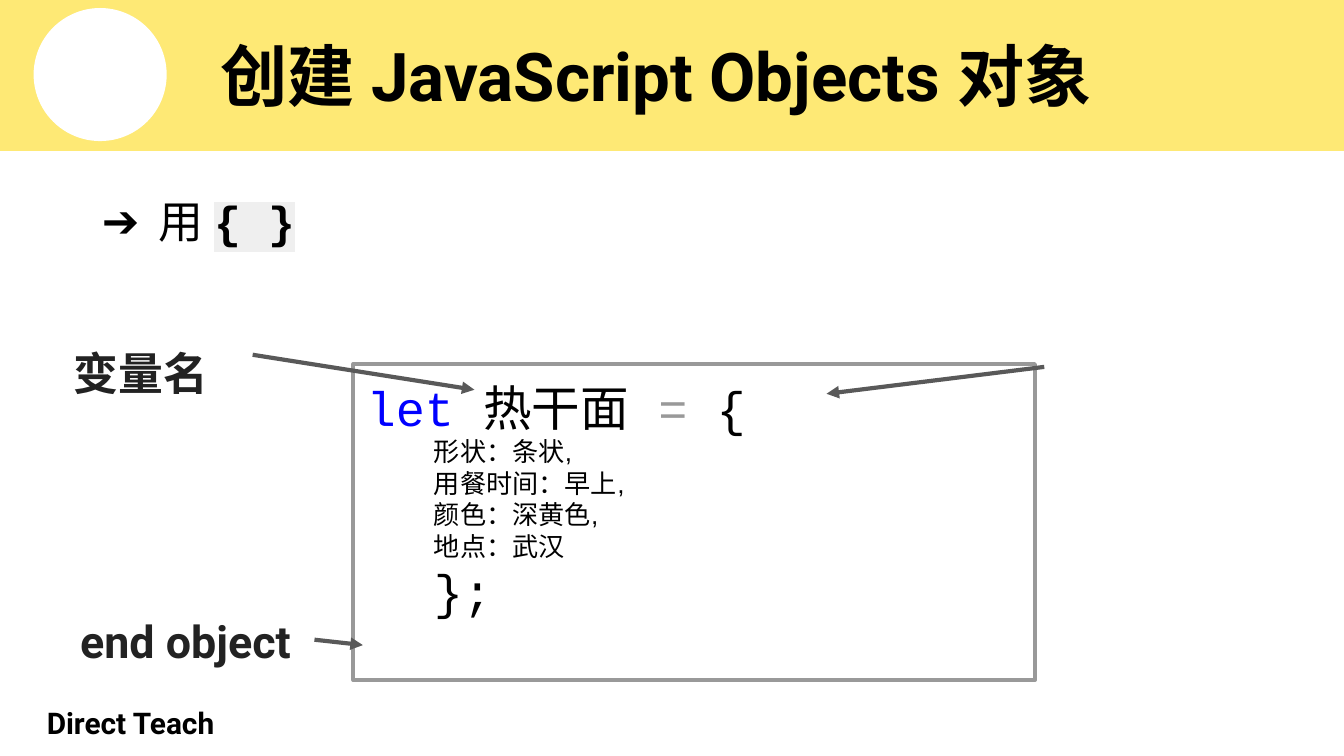
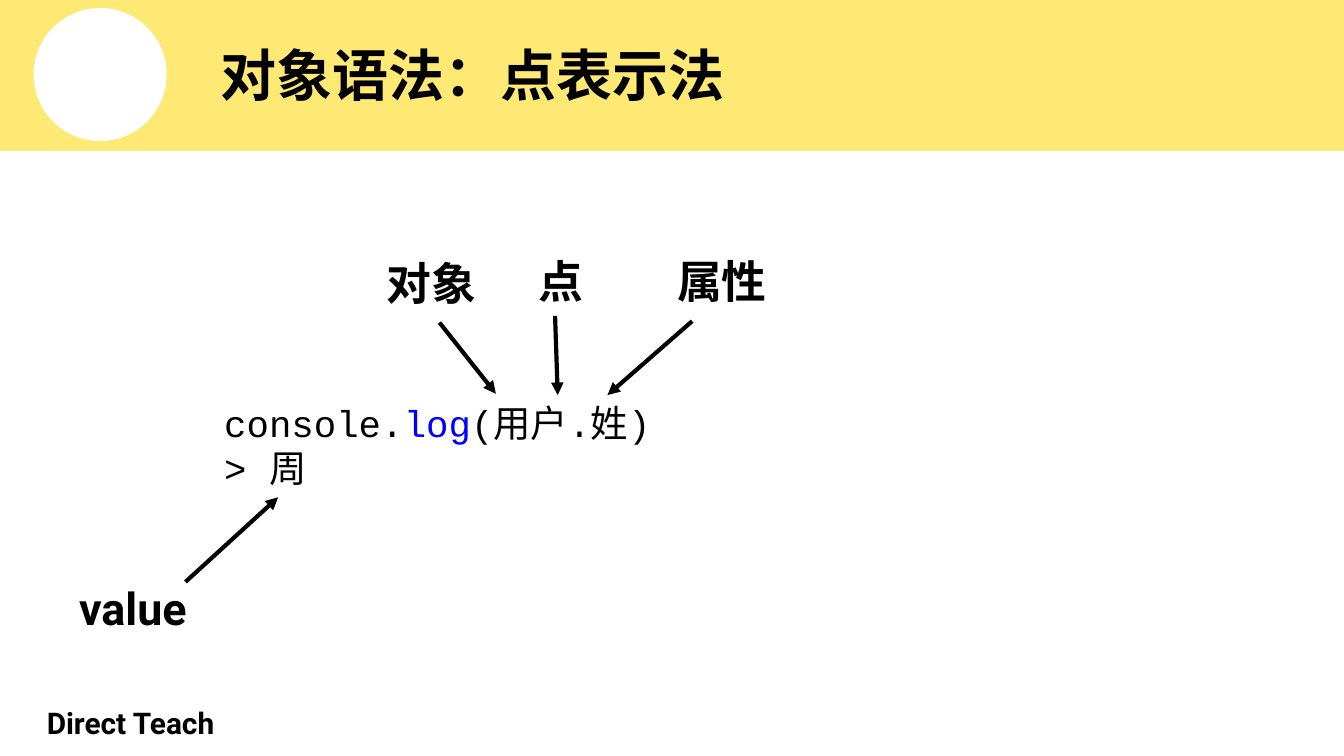
from copy import deepcopy
from dataclasses import dataclass
from typing import NamedTuple

from lxml import etree
from pptx import Presentation
from pptx.dml.color import RGBColor
from pptx.enum.shapes import MSO_CONNECTOR, MSO_SHAPE
from pptx.enum.text import MSO_ANCHOR, PP_ALIGN
from pptx.oxml.ns import qn
from pptx.util import Emu, Inches, Pt

RECTANGLE, CIRCLE = MSO_SHAPE.RECTANGLE, MSO_SHAPE.OVAL
STRAIGHT = MSO_CONNECTOR.STRAIGHT
TOP, MIDDLE = MSO_ANCHOR.TOP, MSO_ANCHOR.MIDDLE
LEFT, CENTER = PP_ALIGN.LEFT, PP_ALIGN.CENTER

# Square grid cells: 100 columns by 56.25 rows
WIDTH, HEIGHT = Inches(10), Inches(5.625)
CELL = WIDTH / 100
INSET = Emu(int(CELL))

YELLOW, WHITE, BLACK = "FEE975", "FFFFFF", "000000"
BLUE, INK, SLATE = "0000FF", "222222", "595959"
GREY, PALE_GREY = "999999", "EFEFEF"
SANS, BODY, MONO = "Roboto", "Arial", "Courier New"
STROKE = 2.25


class Box(NamedTuple):
    """Left, top, width and height in grid cells."""
    left: float
    top: float
    width: float
    height: float


class Arrow(NamedTuple):
    """Start and end points in grid cells."""
    x1: float
    y1: float
    x2: float
    y2: float


@dataclass
class Run:
    text: str
    size: float
    font: str = SANS
    color: str = BLACK
    bold: bool = False
    highlight: str = ""


@dataclass
class Para:
    runs: list[Run]
    align: PP_ALIGN = LEFT
    margin: float = 0
    indent: float = 0
    bullet: str = ""
    spacing: float = 1.0


@dataclass
class Label:
    text: str
    box: Box
    arrow: Arrow


def cells(count: float) -> Emu:
    return Emu(round(count * CELL))


def rgb(color: str) -> RGBColor:
    return RGBColor.from_string(color)


def add_color(parent, tag: str, color: str) -> None:
    holder = etree.SubElement(parent, qn(tag))
    etree.SubElement(holder, qn("a:srgbClr")).set("val", color)


# Text
def add_run(paragraph, piece: Run) -> None:
    for number, line in enumerate(piece.text.split("\n")):
        if number:
            paragraph.add_line_break()
            paragraph._p[-1].append(deepcopy(run._r.rPr))
        run = paragraph.add_run()
        run.text = line
        run.font.size = Pt(piece.size)
        run.font.bold = piece.bold
        run.font.color.rgb = rgb(piece.color)
        properties = run._r.get_or_add_rPr()
        if piece.highlight:
            add_color(properties, "a:highlight", piece.highlight)
        run.font.name = piece.font
        for script in ("a:ea", "a:cs"):
            etree.SubElement(properties, qn(script)).set("typeface", piece.font)


def write(shape, paras: list[Para], anchor: MSO_ANCHOR) -> None:
    frame = shape.text_frame
    frame.word_wrap = True
    frame.vertical_anchor = anchor
    frame.margin_left = frame.margin_right = INSET
    frame.margin_top = frame.margin_bottom = INSET
    for number, para in enumerate(paras):
        paragraph = frame.add_paragraph() if number else frame.paragraphs[0]
        paragraph.alignment = para.align
        paragraph.line_spacing = para.spacing
        properties = paragraph._p.get_or_add_pPr()
        properties.set("marL", str(cells(para.margin)))
        properties.set("indent", str(cells(para.indent)))
        if para.bullet:
            add_color(properties, "a:buClr", BLACK)
            etree.SubElement(properties, qn("a:buFont")).set("typeface", SANS)
            etree.SubElement(properties, qn("a:buChar")).set("char", para.bullet)
        for piece in para.runs:
            add_run(paragraph, piece)


def add_text(slide, box: Box, paras: list[Para], anchor: MSO_ANCHOR = TOP) -> None:
    write(slide.shapes.add_textbox(*map(cells, box)), paras, anchor)


# Shapes and arrows
def add_panel(slide, preset: MSO_SHAPE, box: Box, fill: str = "",
              line: str = "", weight: float = STROKE):
    panel = slide.shapes.add_shape(preset, *map(cells, box))
    panel.shadow.inherit = False
    if fill:
        panel.fill.solid()
        panel.fill.fore_color.rgb = rgb(fill)
    else:
        panel.fill.background()
    if line:
        panel.line.color.rgb = rgb(line)
        panel.line.width = Pt(weight)
    else:
        panel.line.fill.background()
    return panel


def add_arrow(slide, arrow: Arrow, color: str) -> None:
    connector = slide.shapes.add_connector(STRAIGHT, *map(cells, arrow))
    connector.line.color.rgb = rgb(color)
    connector.line.width = Pt(STROKE)
    line = connector.line._get_or_add_ln()
    etree.SubElement(line, qn("a:tailEnd")).set("type", "triangle")
    etree.SubElement(connector._element.spPr, qn("a:effectLst"))


# Shared band, badge, footer and title
def add_lesson_slide(deck, title: str, size: float):
    slide = deck.slides.add_slide(deck.slide_layouts[6])
    add_panel(slide, RECTANGLE, Box(0, -0.1, 100, 11.3), YELLOW, YELLOW, 0.75)
    add_panel(slide, CIRCLE, Box(2.5, 0.6, 9.9, 9.9), WHITE)
    add_text(slide, Box(2.5, 52.5, 30, 2.5),
             [Para([Run("Direct Teach", 16, bold=True)])], MIDDLE)
    add_text(slide, Box(15.4, 0.6, 82, 9.9),
             [Para([Run(title, size, bold=True)])], MIDDLE)
    return slide


def build_object_creation(deck) -> None:
    slide = add_lesson_slide(deck, "创建 JavaScript Objects 对象", 36)

    # Code example
    code = [Para([Run("let ", 26, MONO, BLUE), Run("热干面 ", 26, MONO),
                  Run("=", 26, MONO, GREY), Run(" {", 26, MONO)])]
    for entry in ("形状：条状,", "用餐时间：早上,", "颜色：深黄色,\n地点：武汉"):
        code.append(Para([Run(entry, 14, BODY)], margin=5))
    code.append(Para([Run("};", 26, MONO)], margin=5))
    code_box = add_panel(slide, RECTANGLE, Box(26.3, 27.1, 50.7, 23.5), line=GREY)
    write(code_box, code, TOP)

    # Callouts
    add_arrow(slide, Arrow(77.7, 27.3, 61.5, 29.3), SLATE)
    callouts = [
        Label("end object", Box(4.2, 45.4, 19.2, 4.5), Arrow(23.4, 47.6, 27, 48)),
        Label("变量名", Box(2.2, 24.4, 16.6, 6.7), Arrow(18.8, 26.4, 35.3, 29)),
    ]
    for callout in callouts:
        name = Run(callout.text, 24, color=INK, bold=True)
        add_text(slide, callout.box, [Para([name], align=CENTER)], MIDDLE)
        add_arrow(slide, callout.arrow, SLATE)

    # Rule
    braces = Run("{ }", 24, MONO, bold=True, highlight=PALE_GREY)
    add_text(slide, Box(5.8, 13.8, 88.3, 9.9),
             [Para([Run("用 ", 24), braces], margin=5, indent=-4.2,
                   bullet="➔", spacing=0.93)])


def build_dot_notation(deck) -> None:
    slide = add_lesson_slide(deck, "对象语法：点表示法", 30)

    # Parts of the expression
    parts = [
        Label("对象", Box(27.8, 18, 12.3, 4.9), Arrow(32.7, 24, 36.9, 29.3)),
        Label("点", Box(39.1, 17.9, 9.2, 4.9), Arrow(41.3, 23.5, 41.5, 29.4)),
        Label("属性", Box(49.4, 17.9, 18, 4.9), Arrow(51.5, 23.9, 45.2, 29.4)),
        Label("value", Box(4.9, 42.2, 11.7, 4.9), Arrow(13.8, 43.3, 20.7, 37)),
    ]
    for part in parts:
        add_text(slide, part.box, [Para([Run(part.text, 24, bold=True)])])
        add_arrow(slide, part.arrow, BLACK)

    # Console call and its output
    call = [Run("console.", 20, MONO), Run("log", 20, MONO, BLUE),
            Run("(用户.姓)", 20, MONO)]
    add_text(slide, Box(15.7, 28.8, 44.7, 9.4),
             [Para(call), Para([Run("> 周", 20, MONO)])])


def main() -> None:
    deck = Presentation()
    deck.slide_width, deck.slide_height = WIDTH, HEIGHT
    build_object_creation(deck)
    build_dot_notation(deck)
    deck.save("out.pptx")


if __name__ == "__main__":
    main()
